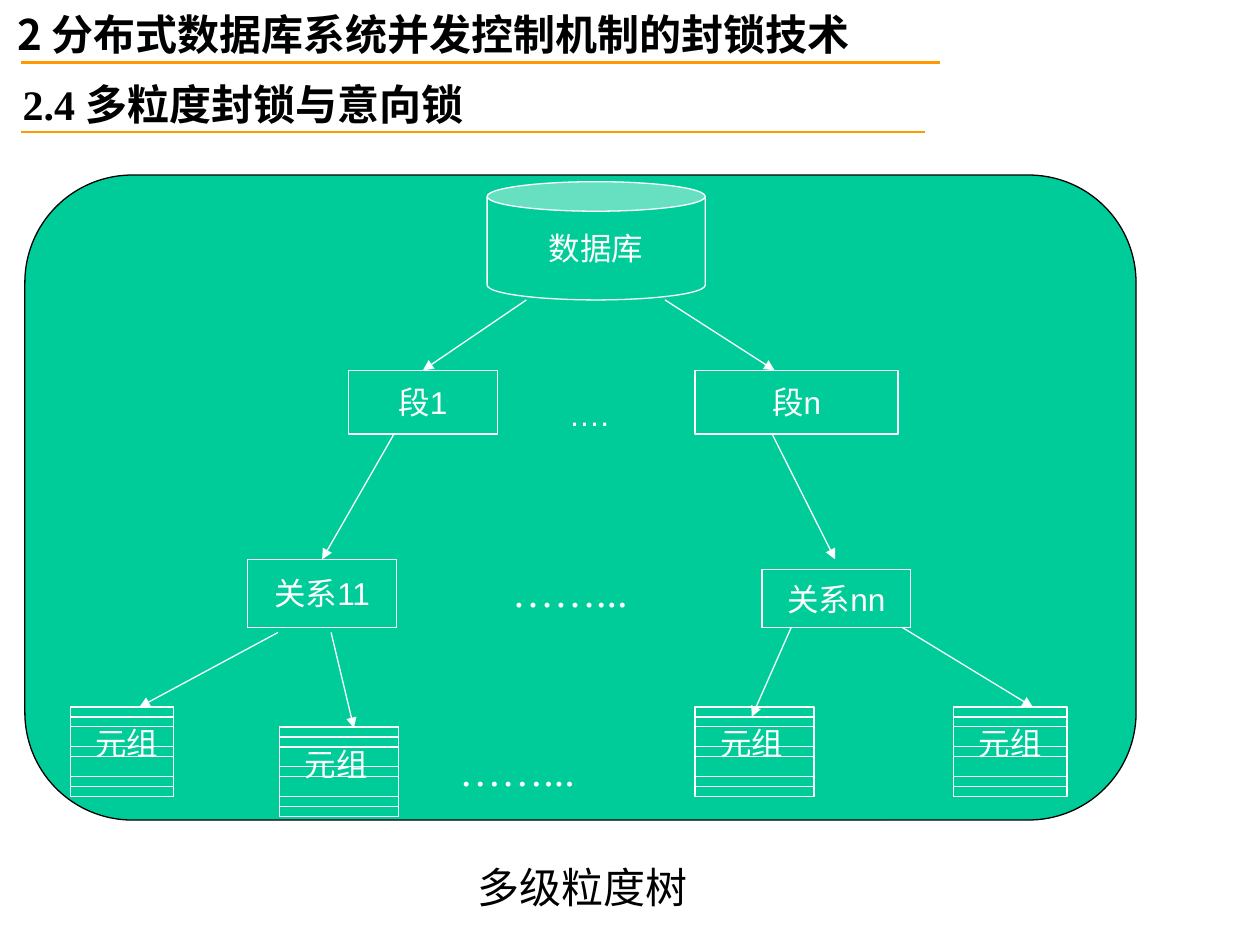
from dataclasses import dataclass

from lxml import etree
from pptx import Presentation
from pptx.dml.color import RGBColor
from pptx.enum.lang import MSO_LANGUAGE_ID
from pptx.enum.shapes import MSO_CONNECTOR, MSO_SHAPE
from pptx.enum.text import MSO_ANCHOR, MSO_AUTO_SIZE, PP_ALIGN
from pptx.oxml.ns import qn
from pptx.util import Pt

RECT, ROUND, CAN = MSO_SHAPE.RECTANGLE, MSO_SHAPE.ROUNDED_RECTANGLE, MSO_SHAPE.CAN
STRAIGHT = MSO_CONNECTOR.STRAIGHT
MIDDLE, CENTER = MSO_ANCHOR.MIDDLE, PP_ALIGN.CENTER
FIT_SHAPE = MSO_AUTO_SIZE.SHAPE_TO_FIT_TEXT
CHINESE = MSO_LANGUAGE_ID.SIMPLIFIED_CHINESE
TOP = 0


@dataclass(frozen=True)
class Theme:
    green: RGBColor = RGBColor(0x00, 0xCC, 0x99)
    white: RGBColor = RGBColor(0xFF, 0xFF, 0xFF)
    black: RGBColor = RGBColor(0x00, 0x00, 0x00)
    orange: RGBColor = RGBColor(0xFF, 0x99, 0x00)
    sans: str = "Arial"
    serif: str = "Times New Roman"
    cjk: str = "Noto Sans CJK SC"
    label: int = 18
    large: int = 24
    thin: float = 0.75
    rule: float = 1.5


T = Theme()
LABEL = dict(name=T.sans, size=Pt(T.label), color=T.white)
DOTS = dict(name=T.serif, size=Pt(T.large), color=T.white)
CAPTION = dict(name=T.sans, size=Pt(T.large), color=T.black)
HEADING = dict(name=T.cjk, size=Pt(T.large), color=T.black, bold=True)
HEADING_NUMBER = {**HEADING, "name": T.serif}


def add_run(p, text, style):
    r = p.add_run()
    r.text = text
    r.font.language_id = CHINESE
    for key, value in style.items():
        if key == "color":
            r.font.color.rgb = value
        else:
            setattr(r.font, key, value)
    ea = etree.SubElement(r.font._element, qn("a:ea"))
    ea.set("typeface", T.cjk)


def add_text(shapes, box, runs, wrap=False):
    """Place a text box; runs is a list of (text, style)."""
    tf = shapes.add_textbox(*map(Pt, box)).text_frame
    tf.word_wrap, tf.auto_size = wrap, FIT_SHAPE
    for text, style in runs:
        add_run(tf.paragraphs[0], text, style)


def add_node(shapes, kind, box, text="", line=T.white):
    sp = shapes.add_shape(kind, *map(Pt, box))
    sp.shadow.inherit = False
    sp.fill.solid()
    sp.fill.fore_color.rgb = T.green
    sp.line.color.rgb, sp.line.width = line, Pt(T.thin)
    if text:
        tf = sp.text_frame
        tf.word_wrap, tf.vertical_anchor = False, MIDDLE
        tf.paragraphs[0].alignment = CENTER
        add_run(tf.paragraphs[0], text, LABEL)
    return sp


def add_line(shapes, start, end, color=T.white, width=T.thin):
    line = shapes.add_connector(STRAIGHT, *map(Pt, (*start, *end)))
    line.line.color.rgb, line.line.width = color, Pt(width)
    etree.SubElement(line._element.spPr, qn("a:effectLst"))
    return line


def add_arrow(shapes, start, end, target=None):
    """Draw an arrow to end, or to the top middle of target if given."""
    arrow = add_line(shapes, start, end)
    etree.SubElement(arrow.line._get_or_add_ln(), qn("a:tailEnd")).set("type", "triangle")
    if target is not None:
        arrow.end_connect(target, TOP)


def draw_heading(shapes, box, runs, rule_left, rule_right):
    x, y, w, h = box
    add_text(shapes, box, runs, wrap=True)
    rule_y = y + h - 2
    add_line(shapes, (rule_left, rule_y), (rule_right, rule_y), T.orange, T.rule)


def draw_tuples(shapes, box):
    """Draw a stack of records, ruled on a grid of nine rows."""
    x, y, w, h = box
    group = shapes.add_group_shape().shapes
    add_node(group, RECT, box)
    for row in (1, 2, 4, 5, 7, 8):
        row_y = y + h * row / 9
        add_line(group, (x, row_y), (x + w, row_y))
    add_text(group, (x + 7.4, y + 6.4, 50.4, 29), [("元组", LABEL)])


def draw_tree(shapes, box):
    left, top, _, _ = box

    def at(x, y, *size):
        return (left + x, top + y, *size)

    add_node(shapes, ROUND, box, line=T.black)
    add_node(shapes, CAN, at(264.2, 3.8, 124.6, 67.6), "数据库")
    segment_1 = add_node(shapes, RECT, at(185, 111.6, 85, 36.5), "段1")
    add_node(shapes, RECT, at(383, 111.6, 116, 36.5), "段n")

    for x, y, w in ((25.9, 304, 59), (145.4, 315.5, 68), (530.6, 304, 65), (383, 304, 68)):
        draw_tuples(shapes, at(x, y, w, 51))

    for start, end in (
        ((365.8, 71.4), (428.4, 111.6)),
        ((175, 261.4), (188, 316)),
        ((144.7, 261.4), (65.5, 304)),
        ((439.2, 255.7), (415.4, 309.6)),
        ((487.4, 250), (576, 304)),
        ((427, 148), (463, 219.6)),
    ):
        add_arrow(shapes, at(*start), at(*end))

    relation_11 = add_node(shapes, RECT, at(127.4, 219.6, 85, 39), "关系11")
    add_node(shapes, RECT, at(421.2, 225.6, 85, 33), "关系nn")
    add_arrow(shapes, at(286.6, 71.4), at(227.5, 111.6), segment_1)
    add_arrow(shapes, at(211, 148), at(169.9, 219.6), relation_11)

    add_text(shapes, at(303.8, 122.4, 37.4, 29), [("….", LABEL)])
    for x, y in ((271.4, 219.6), (241.2, 322)):
        add_text(shapes, at(x, y, 102, 36), [("……...", DOTS)], wrap=True)


def main():
    prs = Presentation()
    prs.slide_width, prs.slide_height = Pt(720), Pt(540)
    s = prs.slides.add_slide(prs.slide_layouts[6])

    draw_tree(s.shapes, (14.2, 100, 635, 368.6))
    add_text(s.shapes, (265.7, 489, 140, 36), [("多级粒度树", CAPTION)], wrap=True)

    headings = s.shapes.add_group_shape().shapes
    draw_heading(headings, (5.8, 41.4, 575, 36),
                 [("2.4 ", HEADING_NUMBER), ("多粒度封锁与意向锁", HEADING)], 11.8, 528.5)
    draw_heading(headings, (2.9, 1.6, 575, 36),
                 [("2 分布式数据库系统并发控制机制的封锁技术", HEADING)], 11.8, 537)

    prs.save("out.pptx")


if __name__ == "__main__":
    main()
